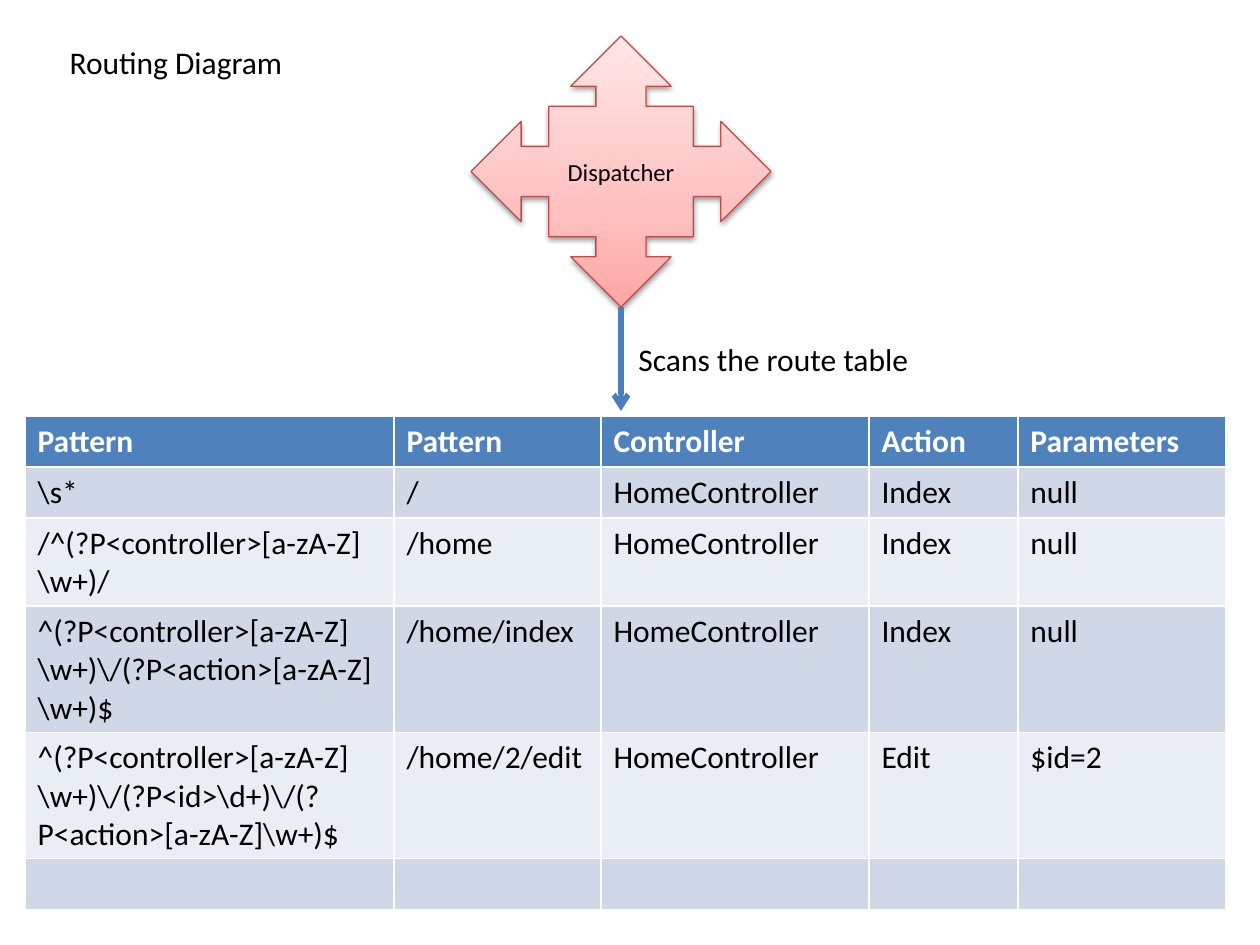
"""Build a routing diagram slide: a dispatcher scanning the route table."""
from lxml.etree import SubElement as Sub
from pptx import Presentation
from pptx.dml.color import RGBColor as RGB
from pptx.enum.shapes import MSO_CONNECTOR as LINK, MSO_SHAPE as SHAPE
from pptx.enum.text import MSO_ANCHOR as ANCHOR, MSO_AUTO_SIZE as AUTO, PP_ALIGN as ALIGN
from pptx.oxml import parse_xml
from pptx.oxml.ns import nsdecls, qn
from pptx.util import Pt

PX = 914400 // 126
FONT = "Calibri"
BLACK = RGB(0x00, 0x00, 0x00)
WHITE = RGB(0xFF, 0xFF, 0xFF)
RED = RGB(0xBF, 0x4C, 0x48)
BLUE = RGB(0x4B, 0x7E, 0xBC)
HEAD = RGB(0x4F, 0x81, 0xBD)
BANDS = [RGB(0xE9, 0xED, 0xF4), RGB(0xD0, 0xD8, 0xE8)]
STOPS = [(0, RGB(0xFF, 0xA6, 0xA5)), (35, RGB(0xFF, 0xC0, 0xBF)), (100, RGB(0xFF, 0xE7, 0xE7))]
HOME = "HomeController"
ROUTES = [
    ("Pattern", "Pattern", "Controller", "Action", "Parameters"),
    (r"\s*", "/", HOME, "Index", "null"),
    (r"/^(?P<controller>[a-zA-Z]\w+)/", "/home", HOME, "Index", "null"),
    (r"^(?P<controller>[a-zA-Z]\w+)\/(?P<action>[a-zA-Z]\w+)$", "/home/index", HOME, "Index", "null"),
    (r"^(?P<controller>[a-zA-Z]\w+)\/(?P<id>\d+)\/(?P<action>[a-zA-Z]\w+)$",
     "/home/2/edit", HOME, "Edit", "$id=2"),
    ("",) * 5,
]
WIDTHS = [369, 207, 268, 149, 208]
ROW = 51


def box(*sides):
    return [side * PX for side in sides]


def write(frame, text, size=18, color=BLACK, bold=False, align=ALIGN.LEFT):
    frame.text = text
    par = frame.paragraphs[0]
    par.alignment = align
    par.font.size = Pt(size)
    for run in par.runs:
        font = run.font
        font.name, font.size, font.bold = FONT, Pt(size), bold
        font.color.rgb = color


deck = Presentation()
deck.slide_width, deck.slide_height = box(1260, 945)
slide = deck.slides.add_slide(deck.slide_layouts[5])
shapes = slide.shapes

title = shapes.title
title.left, title.top, title.width, title.height = box(57, 37, 241, 50)
note = shapes.add_textbox(*box(626, 334, 299, 50))
for label, text in [(title, "Routing Diagram"), (note, "Scans the route table")]:
    frame = label.text_frame
    write(frame, text)
    frame.word_wrap = False
    frame.auto_size = AUTO.SHAPE_TO_FIT_TEXT
    frame.vertical_anchor = ANCHOR.TOP

cross = shapes.add_shape(SHAPE.QUAD_ARROW_CALLOUT, *box(471, 36, 300, 271))
cross.fill.gradient()
grad = cross.fill._xPr.find(qn("a:gradFill"))
stops = "".join(
    f'<a:gs pos="{pos * 1000}"><a:srgbClr val="{color}"/></a:gs>' for pos, color in STOPS)
grad.getparent().replace(grad, parse_xml(
    f'<a:gradFill {nsdecls("a")} rotWithShape="1"><a:gsLst>{stops}</a:gsLst>'
    '<a:lin ang="16200000" scaled="0"/></a:gradFill>'))
cross.line.color.rgb = RED
cross.line.width = Pt(0.75)
cross.shadow.inherit = False
cross._element.spPr.find(qn("a:effectLst")).append(parse_xml(
    f'<a:outerShdw {nsdecls("a")} blurRad="40000" dist="20000" dir="5400000" rotWithShape="0">'
    '<a:srgbClr val="000000"><a:alpha val="38000"/></a:srgbClr></a:outerShdw>'))
write(cross.text_frame, "Dispatcher", 14, align=ALIGN.CENTER)
cross.text_frame.vertical_anchor = ANCHOR.MIDDLE

table = shapes.add_table(
    len(ROUTES), len(WIDTHS), *box(25, 416, sum(WIDTHS), ROW * len(ROUTES))).table
for col, width in zip(table.columns, WIDTHS):
    col.width = width * PX
for i, route in enumerate(ROUTES):
    table.rows[i].height = ROW * PX
    for j, text in enumerate(route):
        cell = table.cell(i, j)
        cell.fill.solid()
        cell.fill.fore_color.rgb = BANDS[i % 2] if i else HEAD
        write(cell.text_frame, text, color=BLACK if i else WHITE, bold=i == 0)

arrow = shapes.add_connector(LINK.STRAIGHT, *box(621, 307, 621, 411))
arrow.line.color.rgb = BLUE
arrow.line.width = Pt(3)
Sub(arrow.line._get_or_add_ln(), qn("a:tailEnd"), type="arrow")
Sub(arrow._element.spPr, qn("a:effectLst"))

deck.save("out.pptx")
